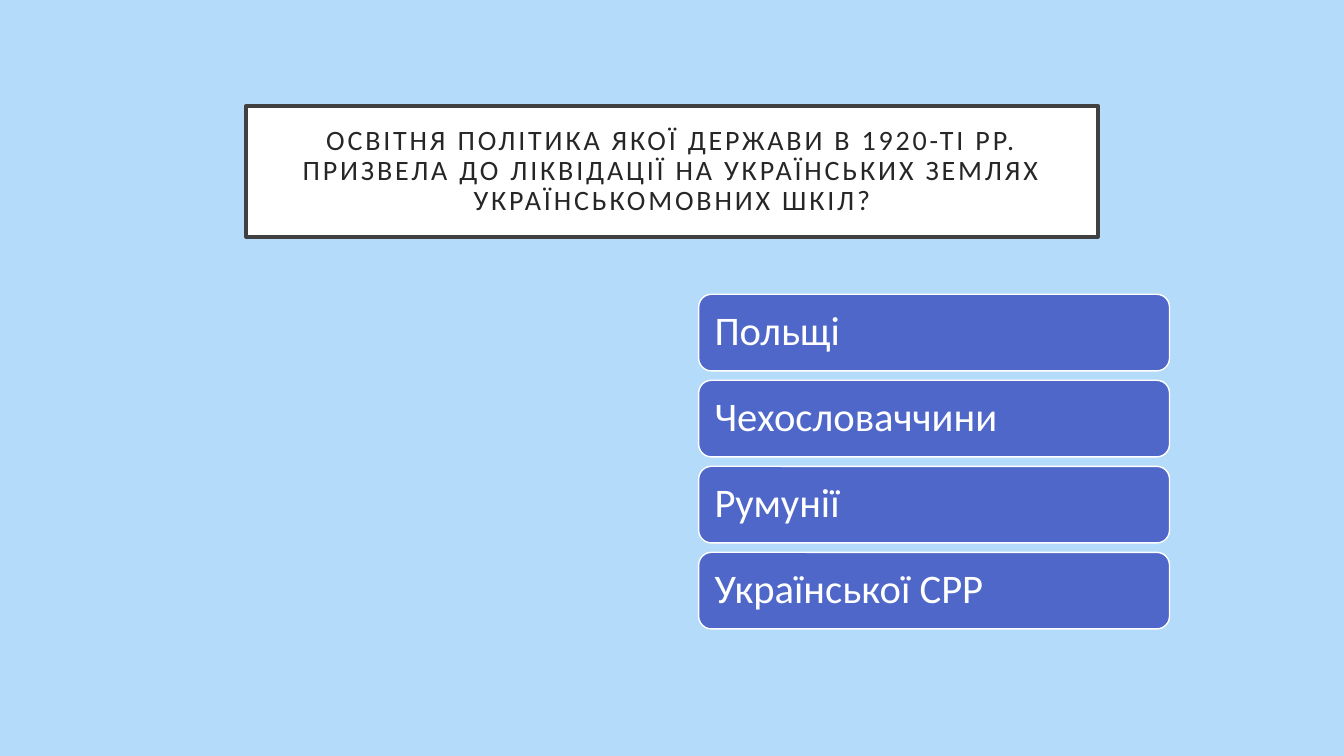
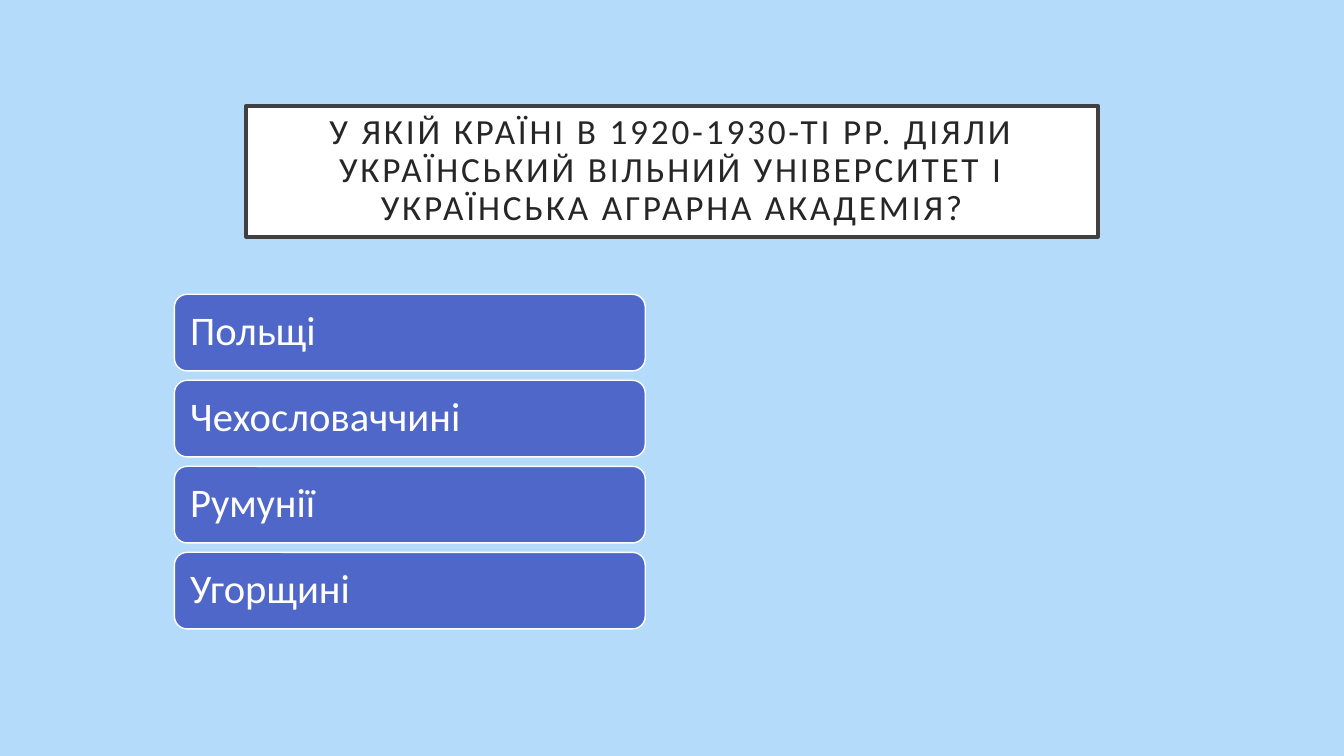
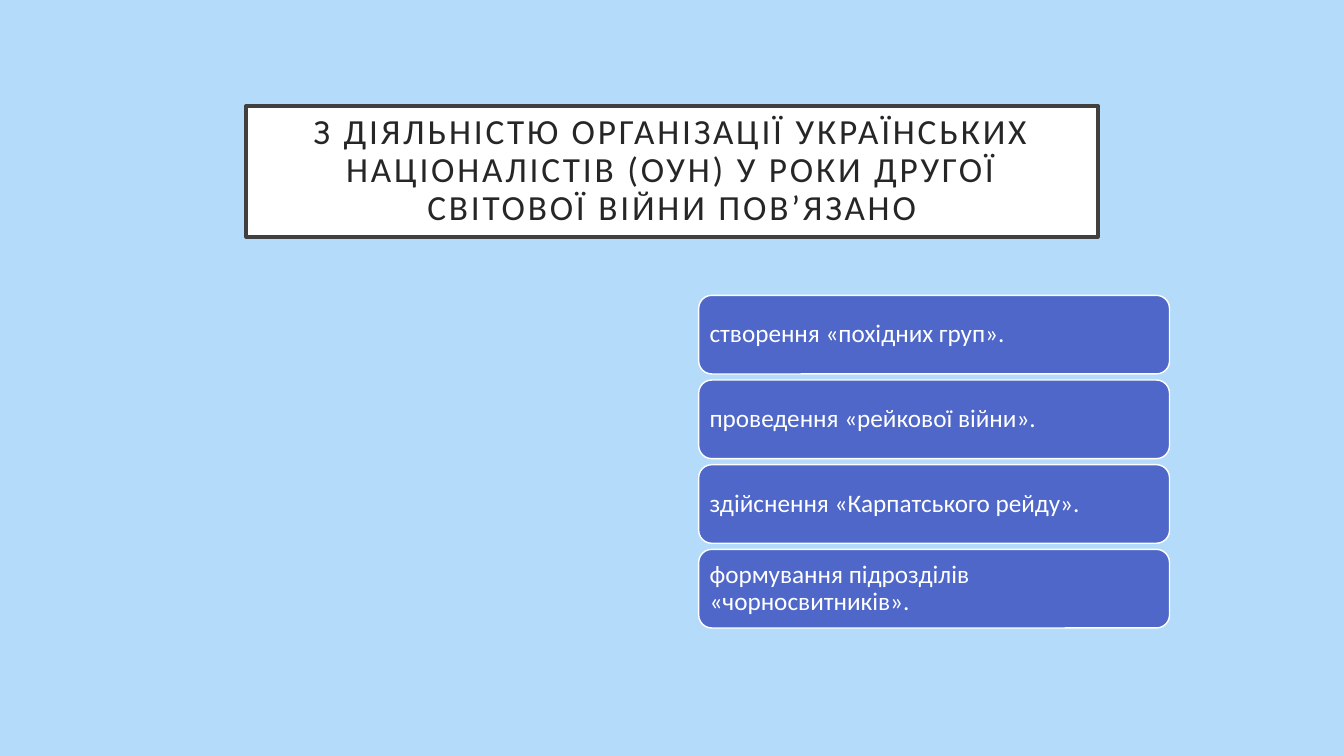
from dataclasses import dataclass

import pptx
import pptx.dml.color
import pptx.enum.shapes
import pptx.enum.text
import pptx.presentation
import pptx.shapes.autoshape
import pptx.slide
import pptx.util

Inches = pptx.util.Inches
Pt = pptx.util.Pt
RGBColor = pptx.dml.color.RGBColor
Shape = pptx.shapes.autoshape.Shape
Slide = pptx.slide.Slide
Alignment = pptx.enum.text.PP_ALIGN
Preset = pptx.enum.shapes.MSO_SHAPE

# Shared look
SKY = RGBColor(0xB4, 0xDC, 0xFA)
WHITE = RGBColor(0xFF, 0xFF, 0xFF)
FRAME = RGBColor(0x40, 0x40, 0x40)
INK = RGBColor(0x26, 0x26, 0x26)
BLUE = RGBColor(0x4E, 0x67, 0xC8)
FONT = "Calibri"

# Answer columns
LEFT_COLUMN = 1.73
RIGHT_COLUMN = 6.93
ANSWER_WIDTH = 4.67
ANSWERS_MIDDLE = 4.58


@dataclass(frozen=True)
class AnswerStyle:
    height: float
    stack_height: float
    size: float
    inset: float


@dataclass(frozen=True)
class Question:
    title: str
    title_size: float
    column: float
    style: AnswerStyle
    answers: tuple[str, ...]


SHORT_ANSWERS = AnswerStyle(height=0.76, stack_height=3.32, size=29, inset=0.12)
LONG_ANSWERS = AnswerStyle(height=0.78, stack_height=3.3, size=18, inset=0.07)

QUESTIONS = (
    Question(
        "ОСВІТНЯ ПОЛІТИКА ЯКОЇ ДЕРЖАВИ В 1920-ТІ РР. ПРИЗВЕЛА ДО ЛІКВІДАЦІЇ "
        "НА УКРАЇНСЬКИХ ЗЕМЛЯХ УКРАЇНСЬКОМОВНИХ ШКІЛ?",
        20, RIGHT_COLUMN, SHORT_ANSWERS,
        ("Польщі", "Чехословаччини", "Румунії", "Української СРР"),
    ),
    Question(
        "У ЯКІЙ КРАЇНІ В 1920-1930-ТІ РР. ДІЯЛИ УКРАЇНСЬКИЙ ВІЛЬНИЙ "
        "УНІВЕРСИТЕТ І УКРАЇНСЬКА АГРАРНА АКАДЕМІЯ?",
        25.2, LEFT_COLUMN, SHORT_ANSWERS,
        ("Польщі", "Чехословаччині", "Румунії", "Угорщині"),
    ),
    Question(
        "З ДІЯЛЬНІСТЮ ОРГАНІЗАЦІЇ УКРАЇНСЬКИХ НАЦІОНАЛІСТІВ (ОУН) У РОКИ "
        "ДРУГОЇ СВІТОВОЇ ВІЙНИ ПОВ’ЯЗАНО",
        25.2, RIGHT_COLUMN, LONG_ANSWERS,
        ("створення «похідних груп».", "проведення «рейкової війни».",
         "здійснення «Карпатського рейду».",
         "формування підрозділів «чорносвитників»."),
    ),
)


def add_box(slide: Slide, preset: Preset, left: float, top: float, width: float,
            height: float, *, fill: RGBColor, line: RGBColor,
            line_width: float) -> Shape:
    shape = slide.shapes.add_shape(
        preset, Inches(left), Inches(top), Inches(width), Inches(height))
    shape.shadow.inherit = False
    shape.fill.solid()
    shape.fill.fore_color.rgb = fill
    shape.line.color.rgb = line
    shape.line.width = Pt(line_width)
    return shape


def write_text(shape: Shape, text: str, *, size: float, color: RGBColor,
               alignment: Alignment, side_inset: float, end_inset: float,
               spacing: float = 0) -> None:
    frame = shape.text_frame
    frame.word_wrap = True
    frame.vertical_anchor = pptx.enum.text.MSO_ANCHOR.MIDDLE
    frame.margin_left = frame.margin_right = Inches(side_inset)
    frame.margin_top = frame.margin_bottom = Inches(end_inset)
    paragraph = frame.paragraphs[0]
    paragraph.alignment = alignment
    paragraph.line_spacing = 0.9
    run = paragraph.add_run()
    run.text = text
    run.font.name = FONT
    run.font.size = Pt(size)
    run.font.color.rgb = color
    if spacing:
        run.font._element.set("spc", str(round(spacing * 100)))


def add_title(slide: Slide, text: str, size: float) -> None:
    box = add_box(slide, Preset.RECTANGLE, 2.44, 1.05, 8.45, 1.3,
                  fill=WHITE, line=FRAME, line_width=2.5)
    write_text(box, text, size=size, color=INK, alignment=Alignment.CENTER,
               side_inset=0.2, end_inset=0.05, spacing=2)


def add_answers(slide: Slide, question: Question) -> None:
    style = question.style
    top = ANSWERS_MIDDLE - style.stack_height / 2
    pitch = (style.stack_height - style.height) / (len(question.answers) - 1)
    for index, answer in enumerate(question.answers):
        box = add_box(slide, Preset.ROUNDED_RECTANGLE, question.column,
                      top + index * pitch, ANSWER_WIDTH, style.height,
                      fill=BLUE, line=WHITE, line_width=1)
        write_text(box, answer, size=style.size, color=WHITE,
                   alignment=Alignment.LEFT, side_inset=style.inset,
                   end_inset=style.inset)


def main() -> None:
    presentation = pptx.Presentation()
    presentation.slide_width = Inches(13.33)
    presentation.slide_height = Inches(7.5)

    # One background for every slide
    background = presentation.slide_master.background.fill
    background.solid()
    background.fore_color.rgb = SKY

    # One slide per question
    blank_layout = presentation.slide_layouts[6]
    for question in QUESTIONS:
        slide = presentation.slides.add_slide(blank_layout)
        add_title(slide, question.title, question.title_size)
        add_answers(slide, question)

    presentation.save("out.pptx")


if __name__ == "__main__":
    main()
